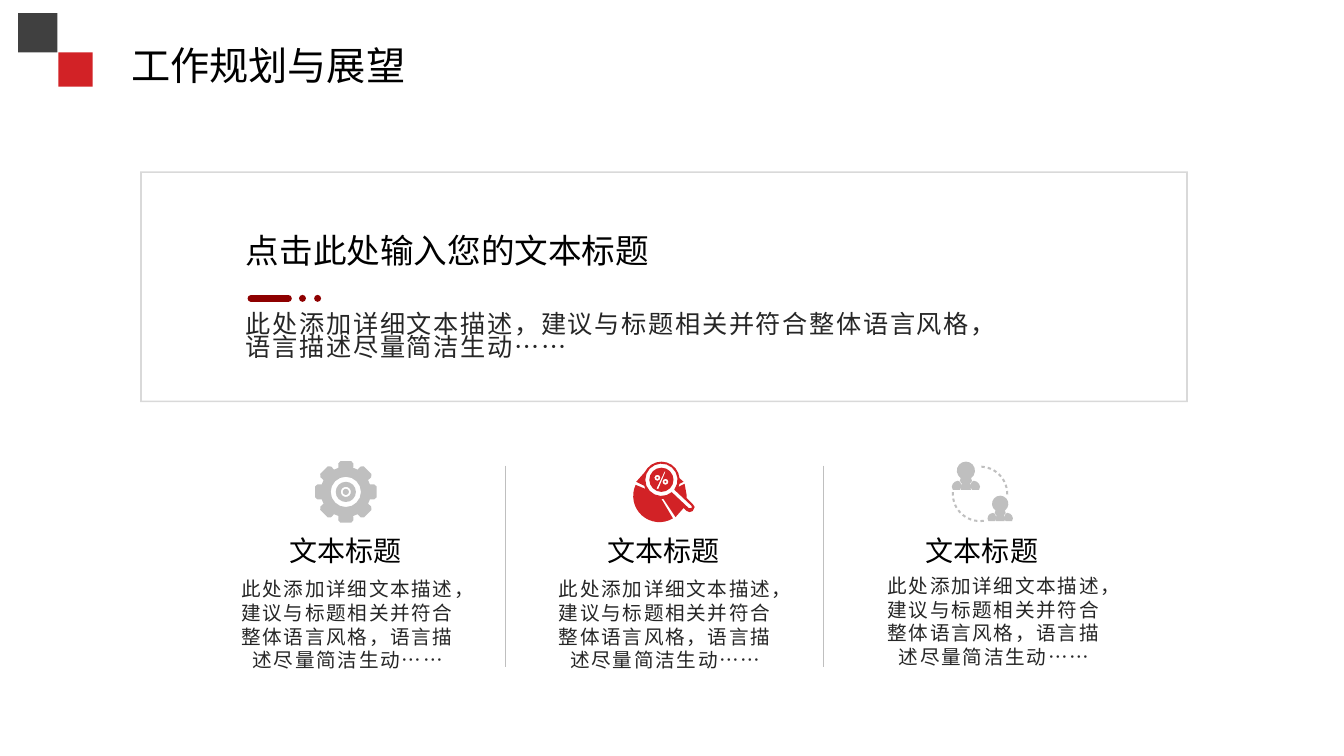
from math import cos, radians, sin

from pptx import Presentation
from pptx.dml.color import RGBColor
from pptx.enum import shapes as es, text as et
from pptx.oxml import parse_xml
from pptx.oxml.ns import nsdecls
from pptx.util import Inches, Pt

TITLE = "工作规划与展望"
HEAD = "点击此处输入您的文本标题"
BODY = "此处添加详细文本描述，建议与标题相关并符合整体语言风格，语言描述尽量简洁生动……"
NAME = "文本标题"
RED, MAROON, DARK, GREY, PALE = "D22226", "8E0000", "404040", "BFBFBF", "D9D9D9"
BLACK, INK = "000000", "262626"
# left of the label, left and top of the description
COLUMNS = [(2.18, 2.2, 5.67), (5.33, 5.35, 5.67), (8.49, 8.61, 5.64)]
DIVIDERS = [5.01, 8.16]
SQUARES = [(0.18, 0.13, 0.39, DARK), (0.58, 0.52, 0.34, RED)]
DASHES = [(2.49, 2.86), (3, 3), (3.15, 3.15)]
# radius and angle of the corners of one gear tooth
TOOTH = [(0.25, -17), (0.29, -15), (0.31, -10), (0.31, 10), (0.29, 15), (0.25, 17)]
# edge of the pie right of the glass, and left of it
RIGHT = [(6.78, 4.78), (6.74, 4.8), (6.73, 4.83), (6.79, 4.8), (6.81, 4.91),
         (6.81, 4.94), (6.87, 5), (6.89, 5.03), (6.87, 5.07), (6.84, 5.08),
         (6.81, 5.07), (6.78, 5.04), (6.7, 5.13), (6.58, 4.95), (6.56, 4.95)]
LEFT = [(6.4, 4.85), (6.39, 4.82), (6.31, 4.78), (6.39, 4.69)]
HANDLE = [(6.66, 4.88), (6.83, 5.04), (6.86, 5.04), (6.86, 5.02), (6.69, 4.86)]
SLASH = [(6.59, 4.68), (6.51, 4.85), (6.53, 4.85), (6.6, 4.68)]
# from the middle of a person's base line
TORSO = [(0.06, -0.09), (0.04, -0.06), (0.05, 0), (-0.05, 0), (-0.04, -0.06),
         (-0.06, -0.09)]
ARM = [(0.06, 0), (0.04, -0.04), (0.06, -0.08), (0.08, -0.09), (0.11, -0.08),
       (0.13, -0.06), (0.14, -0.03), (0.13, 0)]

MID, TOP, LOW = et.MSO_ANCHOR.MIDDLE, et.MSO_ANCHOR.TOP, et.MSO_ANCHOR.BOTTOM

prs = Presentation()
prs.slide_width, prs.slide_height = Inches(13.33), Inches(7.5)
slide = prs.slides.add_slide(prs.slide_layouts[5])


def color(value):
    return RGBColor.from_string(value)


def paint(item, fill):
    item.shadow.inherit = False
    item.fill.solid()
    item.fill.fore_color.rgb = color(fill)
    item.line.fill.background()
    return item


def shape(kind, left, top, width, height, fill):
    return paint(slide.shapes.add_shape(
        kind, Inches(left), Inches(top), Inches(width), Inches(height)), fill)


def line(x1, y1, x2, y2, tint, width, cap="flat"):
    item = slide.shapes.add_connector(
        es.MSO_CONNECTOR.STRAIGHT, Inches(x1), Inches(y1), Inches(x2), Inches(y2))
    item.line.color.rgb = color(tint)
    item.line.width = Pt(width)
    item.line._get_or_add_ln().set("cap", cap)
    item._element.spPr.append(parse_xml(f"<a:effectLst {nsdecls('a')}/>"))


def write(box, words, size, tint, anchor, center=True, lead=None, gap=None):
    """Fill a text box; lead is the line pitch, gap the letter spacing, in points."""
    frame = box.text_frame
    frame.text = words
    frame.word_wrap = True
    frame.auto_size = et.MSO_AUTO_SIZE.NONE
    frame.vertical_anchor = anchor
    para = frame.paragraphs[0]
    para.alignment = et.PP_ALIGN.CENTER if center else et.PP_ALIGN.LEFT
    if lead:
        para.line_spacing = Pt(lead)
    font = para.runs[0].font
    font.name, font.size = "Arial", Pt(size)
    font.color.rgb = color(tint)
    if gap:
        font._element.set("spc", str(round(gap * 100)))


def label(left, top, width, height, *args, **style):
    box = slide.shapes.add_textbox(
        Inches(left), Inches(top), Inches(width), Inches(height))
    write(box, *args, **style)


def polar(x, y, radius, angle):
    return x + radius * cos(radians(angle)), y + radius * sin(radians(angle))


def arc(x, y, radius, start=0, end=360, parts=16):
    step = (end - start) / parts
    return [polar(x, y, radius, start + step * i) for i in range(parts + 1)]


def icon(loops, fill):
    """Draw closed loops as one outline; a loop inside another is a hole."""
    build = None
    for loop in loops:
        first, *rest = [(Inches(x), Inches(y)) for x, y in loop]
        if build:
            build.move_to(*first)
        else:
            build = slide.shapes.build_freeform(*first)
        build.add_line_segments(rest, close=True)
    paint(build.convert_to_shape(), fill)


def gear(x, y):
    rim = [polar(x, y, radius, turn + angle)
           for turn in range(0, 360, 45) for radius, angle in TOOTH]
    icon([rim] + [arc(x, y, radius) for radius in (0.15, 0.1, 0.05, 0.03)], GREY)


def lens(x, y):
    pie = (arc(x, y, 0.18, -140, -5, 8) + RIGHT
           + arc(x - 0.02, y + 0.16, 0.26, 59, 205) + LEFT)
    glass = HANDLE + arc(x, y, 0.16, 37, -310)
    loops = [pie, glass, arc(x, y, 0.12), SLASH]
    for dx, dy in [(-0.04, -0.02), (0.04, 0.02)]:
        loops += [arc(x + dx, y + dy, r, parts=8) for r in (0.03, 0.01)]
    icon(loops, RED)


def person(x, base, scale):
    head = arc(0, -0.19, 0.09, 125, 415, 12)
    mirror = [(-dx, dy) for dx, dy in ARM]
    return [[(x + dx * scale, base + dy * scale) for dx, dy in loop]
            for loop in (head + TORSO, ARM, mirror)]


def people(x, y):
    loops = person(x - 0.14, y - 0.04, 1) + person(x + 0.2, y + 0.27, 0.9)
    for start, count in [(-87, 7), (82, 8)]:
        for step in range(count):
            angle = start + 13.5 * step
            loops.append([polar(x, y, r, a) for r, a in [
                (0.28, angle), (0.28, angle + 7), (0.26, angle + 7), (0.26, angle)]])
    icon(loops, GREY)


for left, top, size, fill in SQUARES:
    shape(es.MSO_SHAPE.RECTANGLE, left, top, size, size, fill)
title = slide.shapes.title
title.left, title.top = Inches(1.07), Inches(0.37)
title.width, title.height = Inches(3.18), Inches(0.55)
write(title, TITLE, 28, BLACK, MID)

panel = shape(es.MSO_SHAPE.FRAME, 1.39, 1.7, 10.39, 2.29, PALE)
panel.adjustments[0] = 0.007
label(2.34, 1.78, 6.19, 0.95, HEAD, 24, BLACK, LOW, center=False)
label(2.34, 3, 7.47, 0.71, BODY, 18, INK, MID, center=False, lead=17, gap=1.2)
for start, end in DASHES:
    line(start, 2.96, end, 2.96, MAROON, 5, "rnd")

ICONS = [(gear, 3.43, 4.88), (lens, 6.56, 4.76), (people, 9.72, 4.9)]
for (left, note, top), (draw, x, y) in zip(COLUMNS, ICONS):
    label(note, top, 2.5, 0.99, BODY, 14, INK, TOP, lead=17, gap=1.2)
    label(left, 5.25, 2.5, 0.42, NAME, 20, BLACK, MID)
    draw(x, y)
for x in DIVIDERS:
    line(x, 4.62, x, 6.62, GREY, 0.25)

prs.save("out.pptx")
